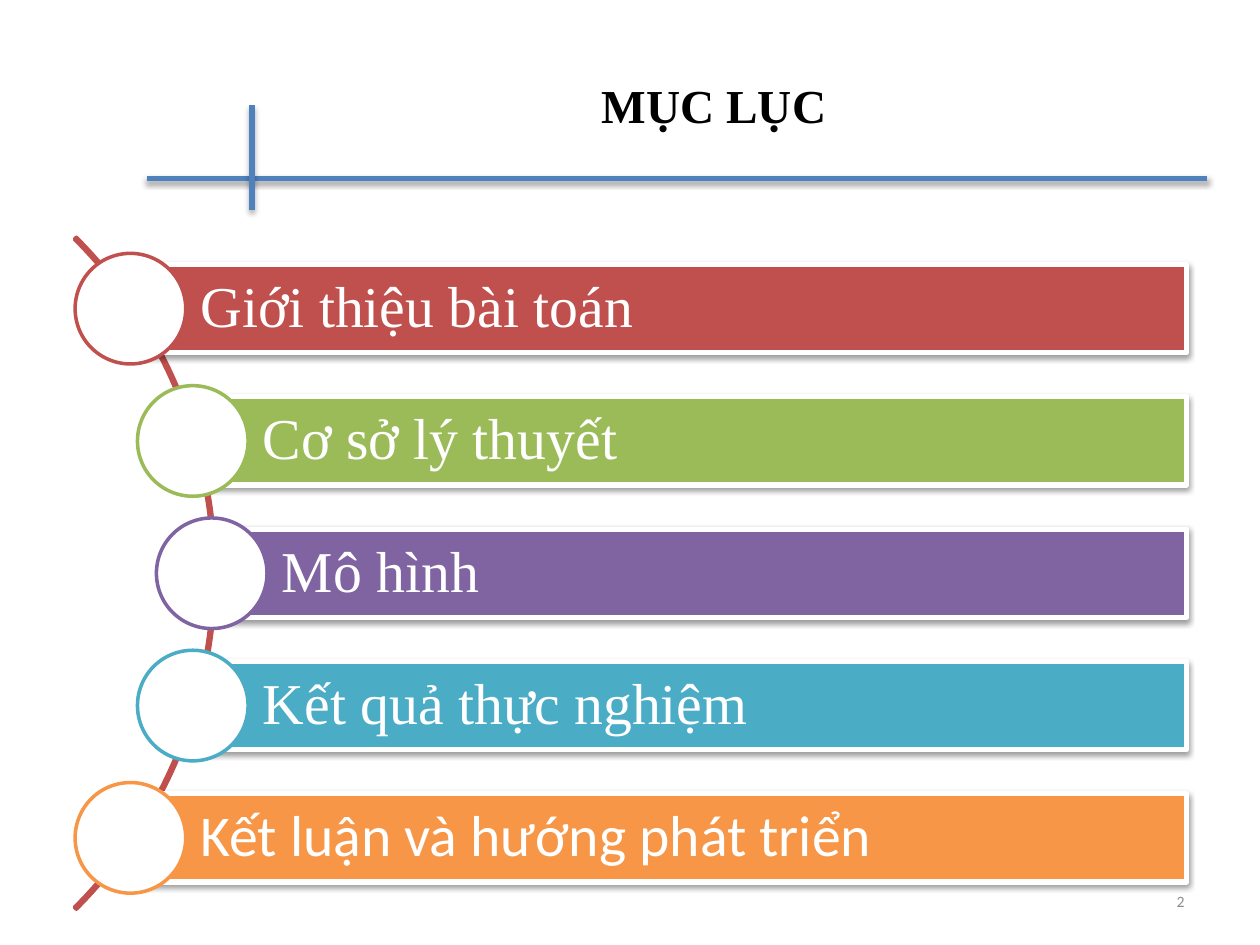
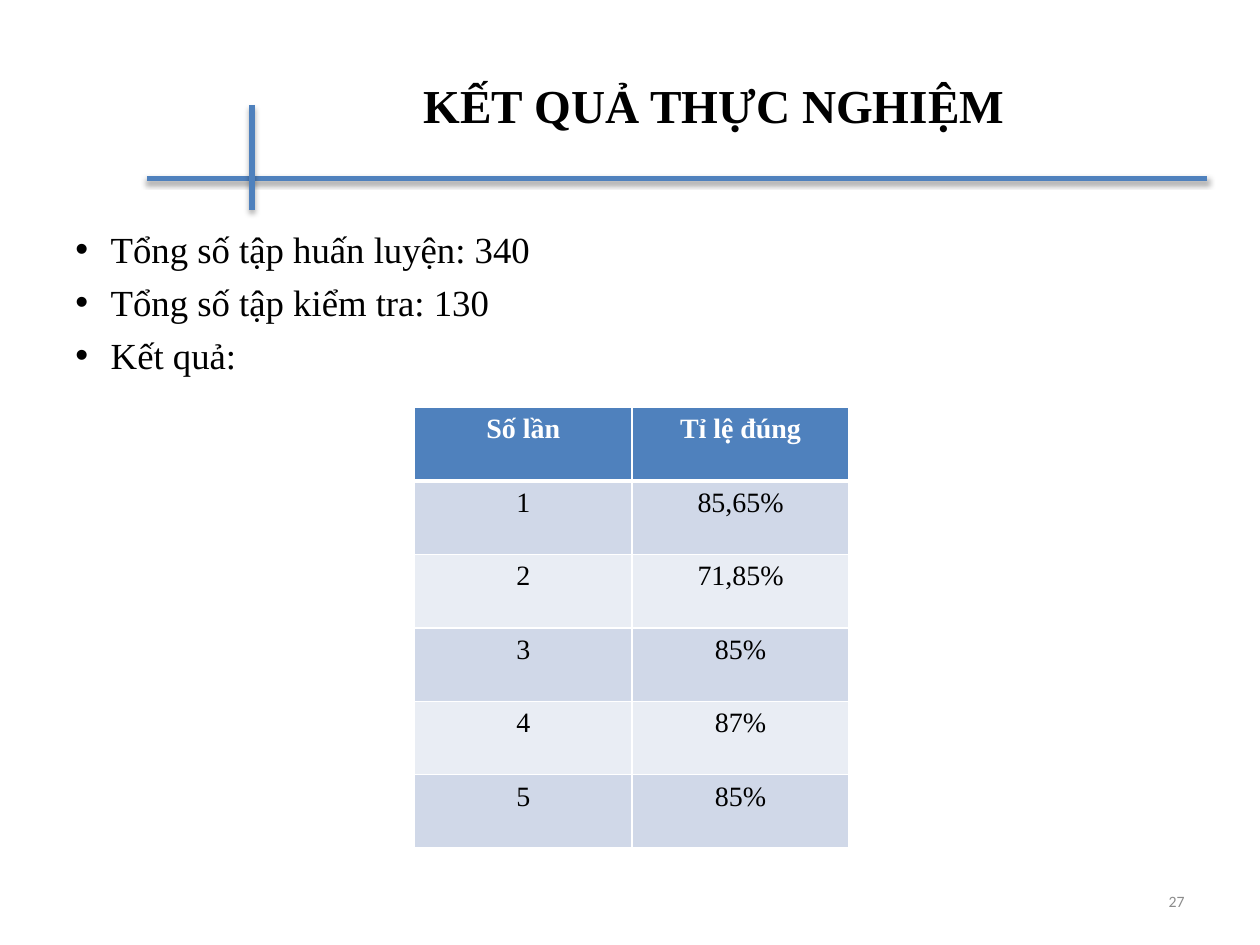
from math import sqrt

from lxml import etree
from pptx import Presentation
from pptx.dml.color import RGBColor
from pptx.enum.shapes import MSO_CONNECTOR, MSO_SHAPE
from pptx.enum.text import MSO_ANCHOR, PP_ALIGN
from pptx.oxml.ns import qn
from pptx.util import Pt

SERIF, SANS = "Times New Roman", "Calibri"
BLACK, WHITE, GREY = "000000", "FFFFFF", "8C8C8C"
BLUE, RED = "4F81BD", "C0504D"
BAND_DARK, BAND_LIGHT = "D0D8E8", "E9EDF4"

AGENDA = {
    "title": "MỤC LỤC",
    "number": "2",
    "topics": [
        ("Giới thiệu bài toán", RED, SERIF),
        ("Cơ sở lý thuyết", "9BBB59", SERIF),
        ("Mô hình", "8064A2", SERIF),
        ("Kết quả thực nghiệm", "4BACC6", SERIF),
        ("Kết luận và hướng phát triển", "F79646", SANS),
    ],
}
RESULTS = {
    "title": "KẾT QUẢ THỰC NGHIỆM",
    "number": "27",
    "bullets": ["Tổng số tập huấn luyện: 340", "Tổng số tập kiểm tra: 130", "Kết quả:"],
    "table": [
        ("Số lần", "Tỉ lệ đúng"),
        ("1", "85,65%"),
        ("2", "71,85%"),
        ("3", "85%"),
        ("4", "87%"),
        ("5", "85%"),
    ],
}

TITLE_LINES = [(84, 102.2, 690, 102.2), (144, 60, 144, 120)]
ARC_X, ARC_Y, ARC_RADIUS = -148.3, 327.6, 271.5
CENTRE_RADIUS = 269.3
TOPIC_PITCH, BAR_HEIGHT, BAR_RIGHT, CIRCLE = 75.6, 50.4, 678.2, 63.2
TABLE_LEFT, TABLE_TOP, COLUMN_WIDTH, ROW_HEIGHT = 236.9, 232.8, 124.2, 42


def rgb(color):
    return RGBColor.from_string(color)


def add_color(parent, color):
    fill = etree.SubElement(parent, qn("a:solidFill"))
    return etree.SubElement(fill, qn("a:srgbClr"), val=color)


def add_shadow(shape, opacity, distance):
    """Drop a soft black shadow straight down; call after the line is set."""
    effects = etree.SubElement(shape.element.spPr, qn("a:effectLst"))
    shadow = etree.SubElement(
        effects, qn("a:outerShdw"), blurRad=str(Pt(3.1)), dist=str(Pt(distance)),
        dir="5400000", rotWithShape="0")
    color = etree.SubElement(shadow, qn("a:srgbClr"), val=BLACK)
    etree.SubElement(color, qn("a:alpha"), val=str(opacity * 1000))


def add_span(para, text, size, color, font=SERIF, bold=False):
    span = para.add_run()
    span.text = text
    span.font.size = Pt(size)
    span.font.name = font
    span.font.bold = bold
    span.font.color.rgb = rgb(color)


def add_box(slide, left, top, width, height, anchor=MSO_ANCHOR.MIDDLE):
    box = slide.shapes.add_textbox(Pt(left), Pt(top), Pt(width), Pt(height))
    frame = box.text_frame
    frame.word_wrap = True
    frame.vertical_anchor = anchor
    return frame


def add_shape(slide, kind, left, top, width, height, fill, line, weight):
    shape = slide.shapes.add_shape(kind, Pt(left), Pt(top), Pt(width), Pt(height))
    if fill:
        shape.fill.solid()
        shape.fill.fore_color.rgb = rgb(fill)
    else:
        shape.fill.background()
    shape.line.color.rgb = rgb(line)
    shape.line.width = Pt(weight)
    return shape


def add_page(deck, content):
    """Add a slide with the crossed lines, title and number that all slides share."""
    slide = deck.slides.add_slide(deck.slide_layouts[6])
    for ends in TITLE_LINES:
        line = slide.shapes.add_connector(MSO_CONNECTOR.STRAIGHT, *map(Pt, ends))
        line.line.color.rgb = rgb(BLUE)
        line.line.width = Pt(3)
        add_shadow(line, 35, 1.8)
    title = add_box(slide, 84, 15, 648, 90).paragraphs[0]
    title.alignment = PP_ALIGN.CENTER
    add_span(title, content["title"], 27, BLACK, bold=True)
    number = add_box(slide, 516, 500.5, 168, 28.8).paragraphs[0]
    number.alignment = PP_ALIGN.RIGHT
    add_span(number, content["number"], 9, GREY, SANS)
    return slide


def add_topics(slide, topics):
    """Set the topics as bars whose left ends follow the arc."""
    arc = add_shape(slide, MSO_SHAPE.BLOCK_ARC, ARC_X - ARC_RADIUS, ARC_Y - ARC_RADIUS,
                    2 * ARC_RADIUS, 2 * ARC_RADIUS, None, RED, 2)
    arc.shadow.inherit = False
    for index, value in enumerate((189, 27, 0.003)):
        arc.adjustments[index] = value
    for index, (text, color, font) in enumerate(topics):
        offset = (index - (len(topics) - 1) / 2) * TOPIC_PITCH
        x = ARC_X + sqrt(CENTRE_RADIUS ** 2 - offset ** 2)
        y = ARC_Y + offset
        bar = add_shape(slide, MSO_SHAPE.RECTANGLE, x, y - BAR_HEIGHT / 2,
                        BAR_RIGHT - x, BAR_HEIGHT, color, WHITE, 3)
        add_shadow(bar, 38, 1.6)
        frame = bar.text_frame
        frame.word_wrap = True
        frame.vertical_anchor = MSO_ANCHOR.MIDDLE
        frame.margin_left = Pt(40)
        frame.margin_top = frame.margin_right = frame.margin_bottom = Pt(6.6)
        para = frame.paragraphs[0]
        para.alignment = PP_ALIGN.LEFT
        para.line_spacing = 0.9
        add_span(para, text, 33, WHITE, font)
        circle = add_shape(slide, MSO_SHAPE.OVAL, x - CIRCLE / 2, y - CIRCLE / 2,
                           CIRCLE, CIRCLE, WHITE, color, 2)
        circle.shadow.inherit = False


def add_bullets(slide, bullets):
    frame = add_box(slide, 36, 126, 648, 356.4, MSO_ANCHOR.TOP)
    for index, text in enumerate(bullets):
        para = frame.add_paragraph() if index else frame.paragraphs[0]
        para.space_before = Pt(5.2)
        properties = para._p.get_or_add_pPr()
        properties.set("marL", str(Pt(20.2)))
        properties.set("indent", str(Pt(-20.2)))
        etree.SubElement(properties, qn("a:buFont"), typeface="Arial")
        etree.SubElement(properties, qn("a:buChar"), char="•")
        add_span(para, text, 21, BLACK)


def add_borders(cell, top, bottom):
    properties = cell._tc.get_or_add_tcPr()
    for side, weight in (("L", 1), ("R", 1), ("T", top), ("B", bottom)):
        border = etree.SubElement(properties, qn(f"a:ln{side}"), w=str(Pt(weight)))
        add_color(border, WHITE)


def add_results_table(slide, rows):
    columns = len(rows[0])
    table = slide.shapes.add_table(
        len(rows), columns, Pt(TABLE_LEFT), Pt(TABLE_TOP),
        Pt(columns * COLUMN_WIDTH), Pt(len(rows) * ROW_HEIGHT)).table
    for column in table.columns:
        column.width = Pt(COLUMN_WIDTH)
    for r, values in enumerate(rows):
        table.rows[r].height = Pt(ROW_HEIGHT)
        header = r == 0
        fill = BLUE if header else BAND_DARK if r % 2 else BAND_LIGHT
        for c, value in enumerate(values):
            cell = table.cell(r, c)
            add_borders(cell, top=3 if r == 1 else 1, bottom=3 if header else 1)
            cell.fill.solid()
            cell.fill.fore_color.rgb = rgb(fill)
            para = cell.text_frame.paragraphs[0]
            para.alignment = PP_ALIGN.CENTER
            add_span(para, value, 16, WHITE if header else BLACK, bold=header)


def main():
    deck = Presentation()
    deck.slide_width, deck.slide_height = Pt(720), Pt(540)
    add_topics(add_page(deck, AGENDA), AGENDA["topics"])
    results = add_page(deck, RESULTS)
    add_bullets(results, RESULTS["bullets"])
    add_results_table(results, RESULTS["table"])
    deck.save("out.pptx")


if __name__ == "__main__":
    main()
